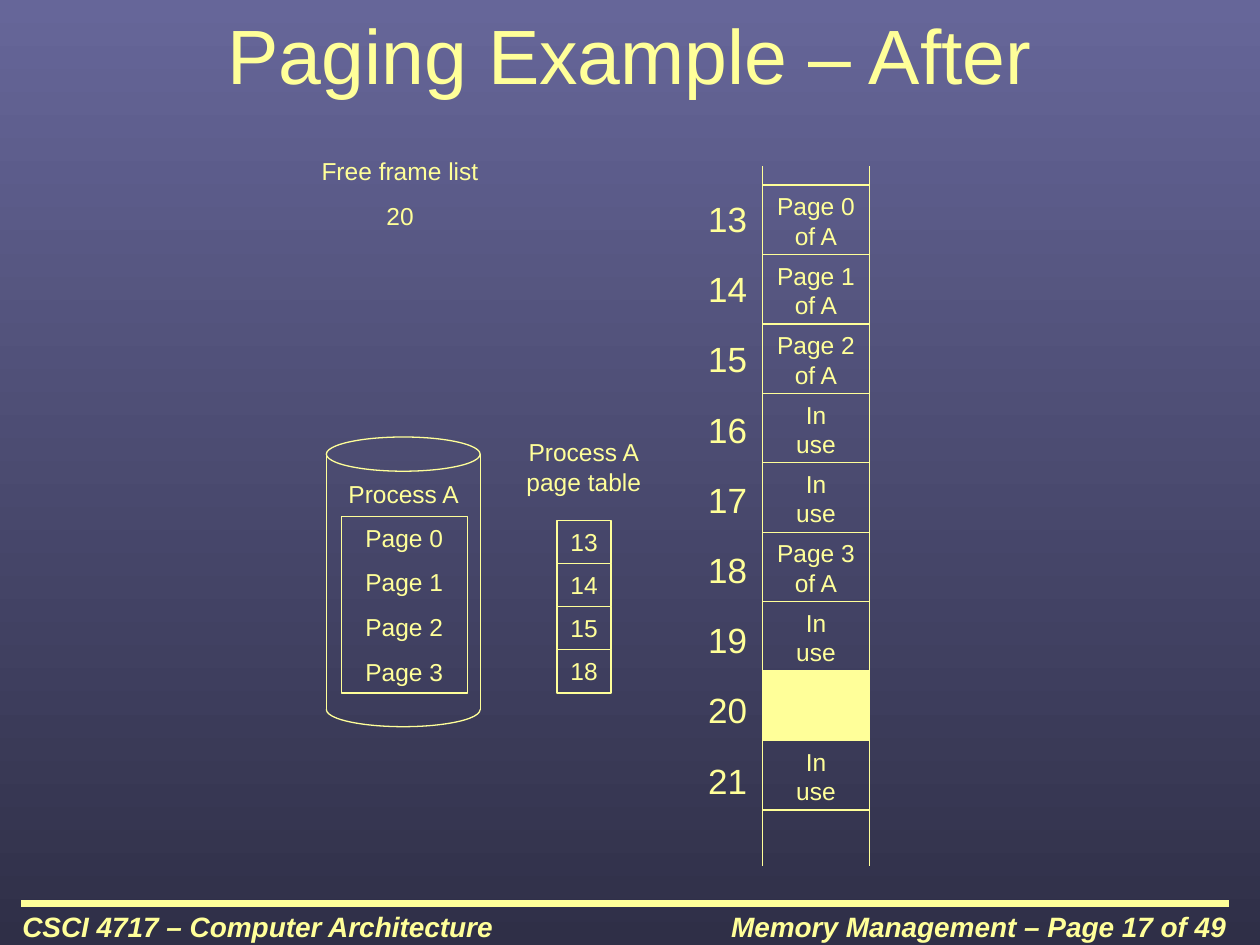
from dataclasses import dataclass
from typing import NamedTuple, Optional

from lxml import etree
from pptx import Presentation
from pptx import util as u
from pptx.dml.color import RGBColor
from pptx.enum import shapes, text
from pptx.oxml import ns


@dataclass(frozen=True)
class Theme:
    ink: RGBColor = RGBColor(0xFF, 0xFF, 0x99)
    sky: RGBColor = RGBColor(0x66, 0x66, 0x99)
    dusk: RGBColor = RGBColor(0x2F, 0x2F, 0x47)
    font: str = "Arial"
    title: float = 44
    number: float = 20
    footer: float = 16
    body: float = 14
    hairline: float = 0.75
    rule: float = 4


class Box(NamedTuple):
    left: float
    top: float
    width: float
    height: float

    def lengths(self) -> tuple:
        return tuple(u.Cm(value) for value in self)


@dataclass(frozen=True)
class Label:
    box: Box
    lines: tuple[str, ...]
    size: float
    align: text.PP_ALIGN = text.PP_ALIGN.CENTER
    before: float = 8.8
    spacing: Optional[float] = None
    anchor: text.MSO_ANCHOR = text.MSO_ANCHOR.TOP
    strong: bool = False


class Frame(NamedTuple):
    number: int
    content: str


THEME = Theme()
PREFIX = "Page "
IN_USE = "In\vuse"
FREE = ""
FRAMES = (
    Frame(13, "Page 0\vof A"),
    Frame(14, "Page 1\vof A"),
    Frame(15, "Page 2\vof A"),
    Frame(16, IN_USE),
    Frame(17, IN_USE),
    Frame(18, "Page 3\vof A"),
    Frame(19, IN_USE),
    Frame(20, FREE),
    Frame(21, IN_USE),
)
MEMORY = Box(15.37, 3.73, 2.16, 1.4)
MEMORY_TOP, MEMORY_BOTTOM = 3.35, 17.45
PAGE_TABLE = Box(11.23, 10.49, 1.09, 0.87)
DISK = Box(6.58, 8.81, 3.1, 5.84)
LID = 0.69

LABELS = (
    Label(Box(12.07, 18.21, 12.9, 0.94), ("Memory Management – Page 17 of 49",),
          THEME.footer, align=text.PP_ALIGN.RIGHT, before=10, strong=True),
    Label(Box(0.2, 18.21, 12.9, 0.94), ("CSCI 4717 – Computer Architecture",),
          THEME.footer, align=text.PP_ALIGN.LEFT, before=10, strong=True),
    Label(Box(1.27, 0, 22.86, 2.16), ("Paging Example – After",),
          THEME.title, before=0, anchor=text.MSO_ANCHOR.MIDDLE),
    Label(Box(6.45, 9.53, 3.38, 0.86), ("Process A",), THEME.body),
    Label(Box(5.84, 3.02, 4.45, 1.75), ("Free frame list", "20"), THEME.body),
    Label(Box(10.08, 8.69, 3.38, 1.45), ("Process A\vpage table",), THEME.body),
    Label(Box(13.97, 3.73, 1.4, 12.55), tuple(str(frame.number) for frame in FRAMES),
          THEME.number, before=12.5, spacing=1.15),
)


def write(frame, label: Label) -> None:
    """Fill a text frame with the paragraphs of a label."""
    frame.word_wrap = True
    frame.vertical_anchor = label.anchor
    for index, line in enumerate(label.lines):
        paragraph = frame.paragraphs[0] if index == 0 else frame.add_paragraph()
        paragraph.text = line
        paragraph.alignment = label.align
        paragraph.space_before = u.Pt(label.before)
        paragraph.line_spacing = label.spacing
        font = paragraph.font
        font.name, font.size = THEME.font, u.Pt(label.size)
        font.color.rgb = THEME.ink
        if label.strong:
            font.bold = font.italic = True


def add_label(slide, label: Label) -> None:
    """Add a free-standing label."""
    write(slide.shapes.add_textbox(*label.box.lengths()).text_frame, label)


def add_outline(slide, kind: shapes.MSO_SHAPE, box: Box,
                lines: tuple[str, ...] = (), filled: bool = False):
    """Add an outlined shape, with body text if there are lines."""
    outline = slide.shapes.add_shape(kind, *box.lengths())
    outline.shadow.inherit = False
    if filled:
        outline.fill.solid()
        outline.fill.fore_color.rgb = THEME.ink
    else:
        outline.fill.background()
    outline.line.color.rgb = THEME.ink
    outline.line.width = u.Pt(THEME.hairline)
    if lines:
        write(outline.text_frame, Label(box, lines, THEME.body))
    return outline


def add_line(slide, x1: float, y1: float, x2: float, y2: float,
             weight: float = THEME.hairline) -> None:
    """Add a straight line without a shadow."""
    line = slide.shapes.add_connector(
        shapes.MSO_CONNECTOR.STRAIGHT, u.Cm(x1), u.Cm(y1), u.Cm(x2), u.Cm(y2))
    line.line.color.rgb = THEME.ink
    line.line.width = u.Pt(weight)
    etree.SubElement(line._element.spPr, ns.qn("a:effectLst"))


def add_side_lines(slide, box: Box, top: float, bottom: float) -> None:
    """Add vertical lines along both sides of a box."""
    for x in (box.left, box.left + box.width):
        add_line(slide, x, top, x, bottom)


def add_disk(slide) -> None:
    """Draw the disk that holds the pages of process A."""
    pages = tuple(f"{PREFIX}{page}" for page in range(4))
    add_outline(slide, shapes.MSO_SHAPE.RECTANGLE, Box(6.88, 10.41, 2.54, 3.56), pages)
    lid = DISK._replace(height=LID)
    add_outline(slide, shapes.MSO_SHAPE.OVAL, lid)
    base = add_outline(slide, shapes.MSO_SHAPE.ARC,
                       lid._replace(top=DISK.top + DISK.height - LID))
    base.adjustments[0], base.adjustments[1] = 0, 108
    add_side_lines(slide, DISK, DISK.top + LID / 2, DISK.top + DISK.height - LID / 2)


def add_page_table(slide) -> None:
    """Draw the frame number of each page of process A."""
    numbers = [frame.number for frame in FRAMES if frame.content.startswith(PREFIX)]
    for row, number in enumerate(numbers):
        cell = PAGE_TABLE._replace(top=PAGE_TABLE.top + row * PAGE_TABLE.height)
        add_outline(slide, shapes.MSO_SHAPE.RECTANGLE, cell, (str(number),))


def add_memory(slide) -> None:
    """Draw main memory as a column of frames."""
    add_side_lines(slide, MEMORY, MEMORY_TOP, MEMORY_BOTTOM)
    for row, frame in enumerate(FRAMES):
        cell = MEMORY._replace(top=MEMORY.top + row * MEMORY.height)
        lines = (frame.content,) if frame.content else ()
        add_outline(slide, shapes.MSO_SHAPE.RECTANGLE, cell, lines,
                    filled=frame.content == FREE)


def main() -> None:
    """Build and save the slide."""
    deck = Presentation()
    deck.slide_width, deck.slide_height = u.Cm(25.4), u.Cm(19.05)
    slide = deck.slides.add_slide(deck.slide_layouts[6])
    backdrop = slide.background.fill
    backdrop.gradient()
    backdrop.gradient_angle = 270
    for stop, color in zip(backdrop.gradient_stops, (THEME.sky, THEME.dusk)):
        stop.color.rgb = color
    add_line(slide, 0.43, 18.21, 24.77, 18.21, THEME.rule)
    for label in LABELS:
        add_label(slide, label)
    add_disk(slide)
    add_page_table(slide)
    add_memory(slide)
    deck.save("out.pptx")


if __name__ == "__main__":
    main()
